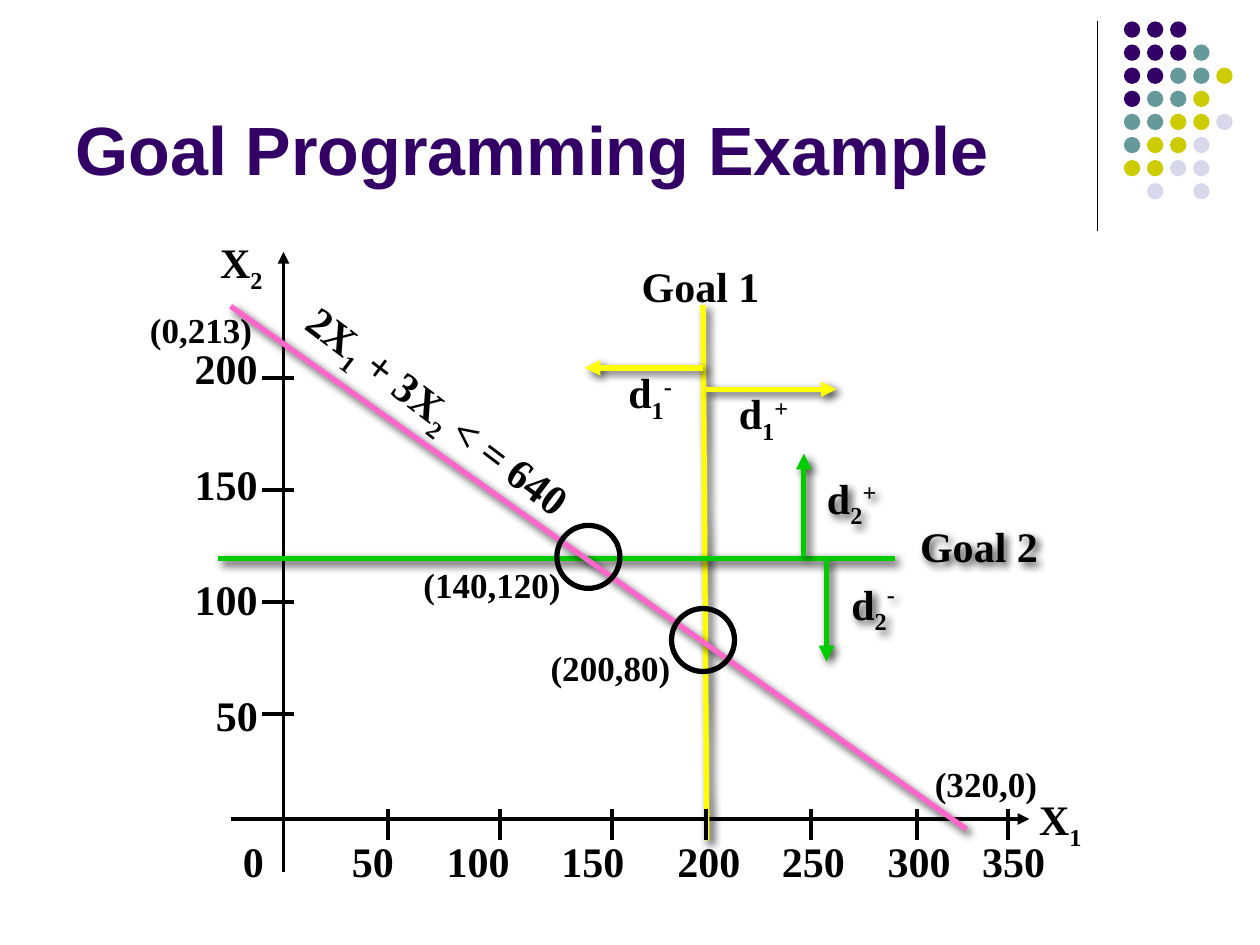
from lxml import etree
from pptx import Presentation
from pptx.dml.color import RGBColor
from pptx.enum.shapes import MSO_CONNECTOR, MSO_SHAPE
from pptx.enum.text import MSO_ANCHOR, MSO_AUTO_SIZE, PP_ALIGN
from pptx.oxml.ns import qn
from pptx.util import Inches, Pt

STRAIGHT = MSO_CONNECTOR.STRAIGHT
OVAL = MSO_SHAPE.OVAL
CENTER, LEFT = PP_ALIGN.CENTER, PP_ALIGN.LEFT
TOP, BOTTOM = MSO_ANCHOR.TOP, MSO_ANCHOR.BOTTOM
GROW = MSO_AUTO_SIZE.SHAPE_TO_FIT_TEXT

BLACK = RGBColor(0x00, 0x00, 0x00)
PURPLE = RGBColor(0x33, 0x00, 0x66)
TEAL = RGBColor(0x66, 0x99, 0x99)
OLIVE = RGBColor(0xCC, 0xCC, 0x00)
LAVENDER = RGBColor(0xD8, 0xD8, 0xEC)
YELLOW = RGBColor(0xFF, 0xFF, 0x00)
GREEN = RGBColor(0x00, 0xCC, 0x00)
PINK = RGBColor(0xFF, 0x66, 0xCC)

DOT_COLORS = {"P": PURPLE, "T": TEAL, "O": OLIVE, "L": LAVENDER}
DOT_ROWS = ["PPP", "PPPT", "PPTTO", "PTTO", "TTOOL", "TOOL", "OOLL", " L L"]
DOT_PITCH = 0.55 / 3

X_TICKS = [3.08, 3.97, 4.86, 5.6, 6.44, 7.28, 8]
X_LABELS = [("0", 1.83, 0.33), ("50", 2.67, 0.58), ("100", 3.42, 0.75),
            ("150", 4.33, 0.75), ("200", 5.25, 0.75), ("250", 6.08, 0.75),
            ("300", 6.92, 0.75), ("350", 7.67, 0.75)]
Y_LABELS = ["200", "150", "100", "50"]
POINTS = [("(140,120)", 3.25, 4.42), ("(200,80)", 4.19, 5.08),
          ("(0,213)", 0.94, 2.4), ("(320,0)", 7.17, 6)]


def set_effects(s, shadow):
    effects = etree.SubElement(s._element.spPr, qn("a:effectLst"))
    if shadow:
        outer = etree.SubElement(effects, qn("a:outerShdw"), blurRad=str(Pt(5)),
                                 dist=str(Pt(3)), dir=str(45 * 60000))
        color = etree.SubElement(outer, qn("a:srgbClr"), val=str(BLACK))
        etree.SubElement(color, qn("a:alpha"), val="75000")


def add_line(slide, x1, y1, x2, y2, color=BLACK, width=2.25, arrow=False, shadow=False):
    s = slide.shapes.add_connector(STRAIGHT, Inches(x1), Inches(y1), Inches(x2), Inches(y2))
    s.line.color.rgb = color
    s.line.width = Pt(width)
    if arrow:
        etree.SubElement(s.line._get_or_add_ln(), qn("a:tailEnd"), type="triangle")
    set_effects(s, shadow)


def add_circle(slide, x, y, size, fill=None):
    s = slide.shapes.add_shape(OVAL, Inches(x), Inches(y), Inches(size), Inches(size))
    s.shadow.inherit = False
    if fill is None:
        s.fill.background()
        s.line.color.rgb = BLACK
        s.line.width = Pt(3)
    else:
        s.fill.solid()
        s.fill.fore_color.rgb = fill
        s.line.fill.background()


def add_text(slide, text, x, y, w, h=0.5, size=24, font="Times New Roman", color=BLACK,
             align=CENTER, anchor=TOP, grow=True, rotation=0, shadow=False):
    """Takes a string, or a list of (string, baseline percent) pairs."""
    s = slide.shapes.add_textbox(Inches(x), Inches(y), Inches(w), Inches(h))
    s.rotation = rotation
    tf = s.text_frame
    tf.word_wrap = True
    tf.vertical_anchor = anchor
    p = tf.paragraphs[0]
    p.alignment = align
    if grow:
        tf.auto_size = GROW
        before = etree.SubElement(p._p.get_or_add_pPr(), qn("a:spcBef"))
        etree.SubElement(before, qn("a:spcPct"), val="50000")
    for part, baseline in [(text, 0)] if isinstance(text, str) else text:
        r = p.add_run()
        r.text = part
        r.font.name = font
        r.font.size = Pt(size)
        r.font.bold = True
        r.font.color.rgb = color
        if baseline:
            r.font._element.set("baseline", str(baseline * 1000))
    if shadow:
        set_effects(s, shadow)


def add_deviation(slide, index, sign, x, y, raised=30, **style):
    add_text(slide, [("d", 0), (index, -25), (sign, raised)], x, y, 0.66, **style)


def add_header(slide):
    add_line(slide, 8.71, 0.17, 8.71, 1.83, width=0.75)
    for row, codes in enumerate(DOT_ROWS):
        for col, code in enumerate(codes):
            if code in DOT_COLORS:
                add_circle(slide, 8.92 + col * DOT_PITCH, 0.17 + row * DOT_PITCH,
                           0.13, DOT_COLORS[code])
    add_text(slide, "Goal Programming Example", 0.5, 0.13, 8.25, 1.42, size=39,
             font="Arial", color=PURPLE, align=LEFT, anchor=BOTTOM, grow=False)


def add_axes(slide):
    add_line(slide, 1.83, 6.5, 8.17, 6.5, arrow=True)
    add_line(slide, 2.25, 6.92, 2.25, 2, arrow=True)
    for text, x, w in X_LABELS:
        add_text(slide, text, x, 6.58, w)
    for i, text in enumerate(Y_LABELS):
        y = 3 + i * 0.89
        add_line(slide, 2.08, y, 2.33, y)
        w = 0.25 * len(text) if len(text) == 3 else 0.58
        add_text(slide, text, 2.17 - w, 2.67 + i * 0.917, w)
    add_text(slide, [("X", 0), ("1", -25)], 8.08, 6.25, 0.67)
    add_text(slide, [("X", 0), ("2", -25)], 1.58, 1.83, 0.67)


def add_goals(slide):
    yellow = dict(color=YELLOW, width=3, shadow=True)
    add_line(slide, 5.58, 2.42, 5.61, 6.67, **yellow)
    add_text(slide, "Goal 1", 4.97, 2.02, 1.18)
    add_line(slide, 5.58, 2.92, 4.64, 2.92, arrow=True, **yellow)
    add_line(slide, 5.6, 3.09, 6.64, 3.09, arrow=True, **yellow)
    add_deviation(slide, "1", "-", 4.83, 2.86)
    add_deviation(slide, "1", "+", 5.73, 3.03)

    green = dict(color=GREEN, width=3, shadow=True)
    add_line(slide, 1.73, 4.43, 7.1, 4.43, **green)
    add_text(slide, "Goal 2", 7.17, 4.08, 1.2, shadow=True)
    add_line(slide, 6.38, 4.41, 6.38, 3.6, arrow=True, **green)
    add_line(slide, 6.56, 4.44, 6.56, 5.25, arrow=True, **green)
    add_deviation(slide, "2", "+", 6.43, 3.7, shadow=True)
    add_deviation(slide, "2", "-", 6.6, 4.54, raised=40, shadow=True)


def add_constraint(slide):
    add_line(slide, 1.83, 2.43, 7.67, 6.58, color=PINK, width=3, shadow=True)
    add_text(slide, [("2X", 0), ("1", -25), (" + 3X", 0), ("2", -25), (" < = 640", 0)],
             2.13, 3.02, 2.75, align=LEFT, rotation=37.1)


def main():
    prs = Presentation()
    prs.slide_width, prs.slide_height = Inches(10), Inches(7.5)
    slide = prs.slides.add_slide(prs.slide_layouts[6])
    add_header(slide)
    add_axes(slide)
    add_goals(slide)
    add_constraint(slide)
    for x in X_TICKS:
        add_line(slide, x, 6.42, x, 6.67)
    for text, x, y in POINTS:
        add_text(slide, text, x, y, 1.31, 0.43, size=20)
    add_circle(slide, 5.33, 4.83, 0.5)
    add_circle(slide, 4.42, 4.17, 0.5)
    prs.save("out.pptx")


if __name__ == "__main__":
    main()
